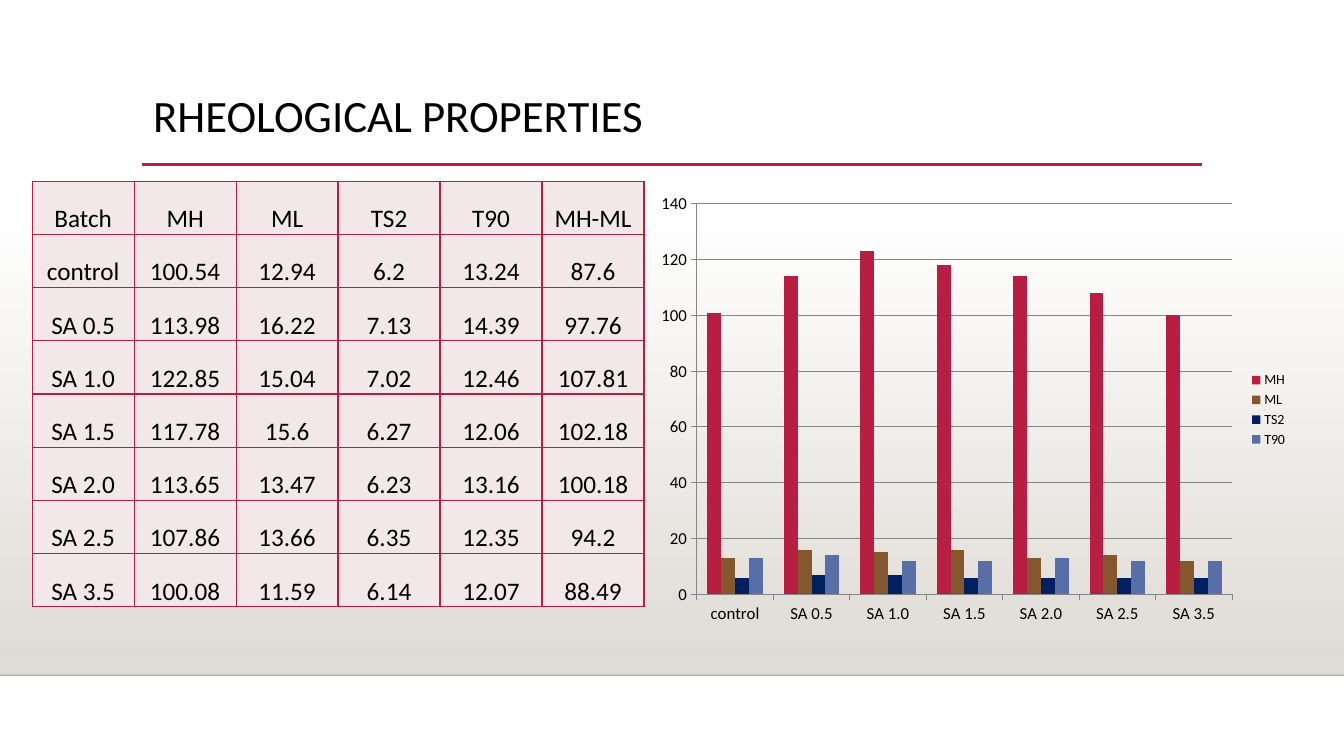
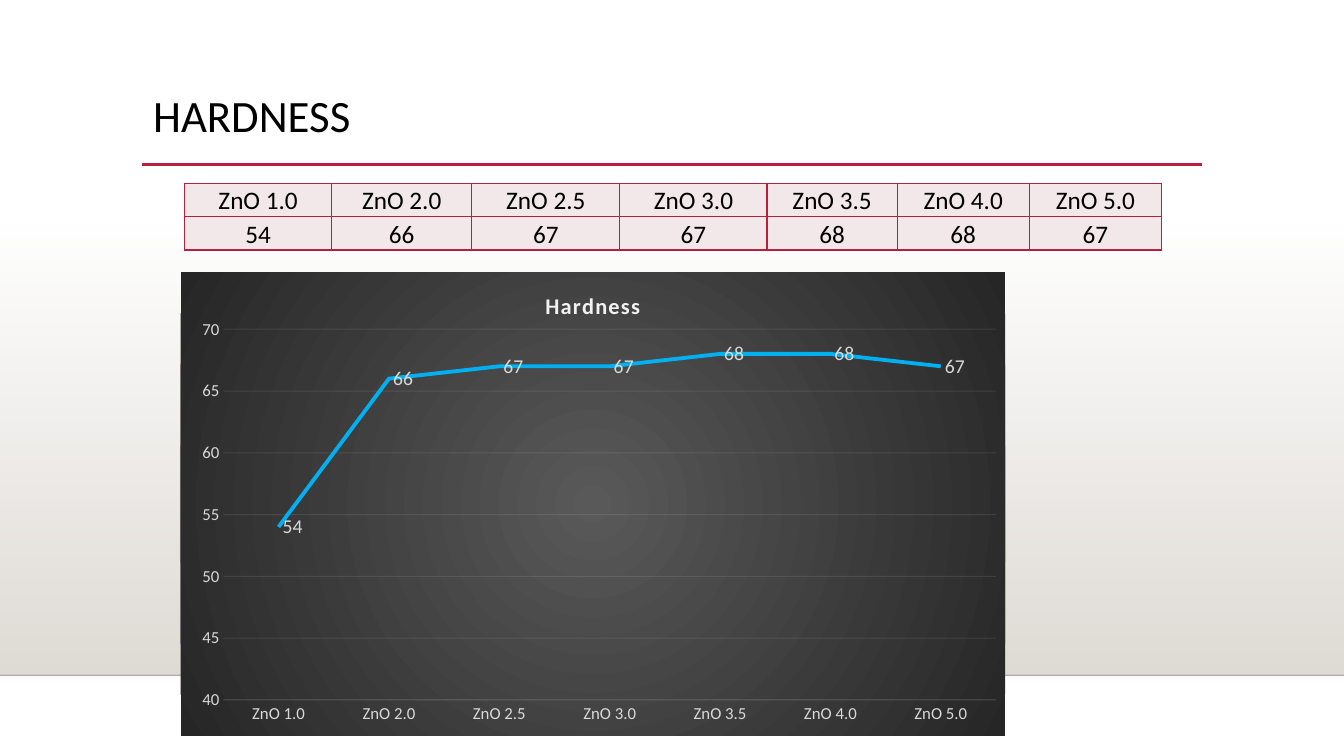
"""Build two slides on rubber test results, each with a table and a chart."""
from lxml import etree
from pptx import Presentation
from pptx import util as u
from pptx.chart import data as chart_data
from pptx.dml.color import RGBColor
from pptx.enum import chart as ch
from pptx.enum import shapes, text
from pptx.oxml import parse_xml
from pptx.oxml.ns import nsdecls, qn

COLORS = {
    "ink": "000000", "accent": "B71E42", "cell": "F3E8E9", "floor": "DFDBD5",
    "brown": "84582C", "navy": "002060", "slate": "586EA6", "axis": "868686",
    "panel_in": "595959", "panel_out": "262626", "pale": "F2F2F2",
    "label": "D9D9D9", "sky": "00B0F0",
}
FONT = "Calibri"
SLIDE_W, SLIDE_H = 33.87, 19.05
FLOOR_Y = 17.02

RHEOLOGY = [
    ["Batch", "MH", "ML", "TS2", "T90", "MH-ML"],
    ["control", "100.54", "12.94", "6.2", "13.24", "87.6"],
    ["SA 0.5", "113.98", "16.22", "7.13", "14.39", "97.76"],
    ["SA 1.0", "122.85", "15.04", "7.02", "12.46", "107.81"],
    ["SA 1.5", "117.78", "15.6", "6.27", "12.06", "102.18"],
    ["SA 2.0", "113.65", "13.47", "6.23", "13.16", "100.18"],
    ["SA 2.5", "107.86", "13.66", "6.35", "12.35", "94.2"],
    ["SA 3.5", "100.08", "11.59", "6.14", "12.07", "88.49"],
]
HARDNESS = [
    ["ZnO 1.0", "ZnO 2.0", "ZnO 2.5", "ZnO 3.0", "ZnO 3.5", "ZnO 4.0", "ZnO 5.0"],
    ["54", "66", "67", "67", "68", "68", "67"],
]


def rgb(name):
    return RGBColor.from_string(COLORS[name])


def fade(element, query, percent):
    for color in element.xpath(query):
        etree.SubElement(color, qn("a:alpha")).set("val", str(percent * 1000))


def gradient(stops, direction):
    marks = "".join(
        f'<a:gs pos="{pos * 1000}"><a:srgbClr val="{COLORS[name]}">'
        f'<a:alpha val="{alpha * 1000}"/></a:srgbClr></a:gs>'
        for pos, name, alpha in stops)
    return f'<a:gradFill {nsdecls("a")}><a:gsLst>{marks}</a:gsLst>{direction}</a:gradFill>'


class Deck:
    def __init__(self):
        self.prs = Presentation()
        self.prs.slide_width, self.prs.slide_height = u.Cm(SLIDE_W), u.Cm(SLIDE_H)
        self.slide = None

    def style(self, font, size, color="ink", bold=False):
        font.name, font.size, font.bold = FONT, u.Pt(size), bold
        font.color.rgb = rgb(color)

    def add_slide(self, heading):
        self.slide = self.prs.slides.add_slide(self.prs.slide_layouts[6])
        self.backdrop(5.61)
        fade(self.rule(0, SLIDE_W, FLOOR_Y, "ink", 1).element, ".//a:ln//a:srgbClr", 20)
        self.rule(3.58, 30.28, 4.14, "accent", 2.5)
        self.title(heading)

    def backdrop(self, top):
        floor = self.slide.shapes.add_shape(
            shapes.MSO_SHAPE.RECTANGLE, 0, u.Cm(top), u.Cm(SLIDE_W), u.Cm(FLOOR_Y - top))
        floor.shadow.inherit = False
        floor.line.fill.background()
        fill = gradient([(0, "floor", 0), (100, "floor", 100)], '<a:lin ang="5400000" scaled="0"/>')
        floor.element.spPr.insert(2, parse_xml(fill))

    def rule(self, left, right, y, color, width):
        line = self.slide.shapes.add_connector(
            shapes.MSO_CONNECTOR.STRAIGHT, u.Cm(left), u.Cm(y), u.Cm(right), u.Cm(y))
        line.line.color.rgb = rgb(color)
        line.line.width = u.Pt(width)
        etree.SubElement(line.element.spPr, qn("a:effectLst"))
        return line

    def title(self, heading):
        frame = self.slide.shapes.add_textbox(
            u.Cm(3.61), u.Cm(2.24), u.Cm(26.67), u.Cm(2.92)).text_frame
        frame.word_wrap = True
        frame.vertical_anchor = text.MSO_ANCHOR.TOP
        paragraph = frame.paragraphs[0]
        paragraph.line_spacing = 0.9
        run = paragraph.add_run()
        run.text = heading
        self.style(run.font, 32)

    def table(self, left, top, widths, row_height, rows):
        grid = self.slide.shapes.add_table(
            len(rows), len(widths), u.Cm(left), u.Cm(top),
            u.Cm(sum(widths)), u.Cm(row_height * len(rows))).table
        grid.first_row = grid.horz_banding = False
        for column, width in zip(grid.columns, widths):
            column.width = u.Cm(width)
        for row, values in zip(grid.rows, rows):
            row.height = u.Cm(row_height)
            for cell, value in zip(row.cells, values):
                self.cell(cell, value)

    def cell(self, cell, value):
        cell.fill.solid()
        cell.fill.fore_color.rgb = rgb("cell")
        cell.vertical_anchor = text.MSO_ANCHOR.BOTTOM
        cell.margin_left = cell.margin_right = cell.margin_top = u.Cm(0.03)
        cell.margin_bottom = 0
        paragraph = cell.text_frame.paragraphs[0]
        paragraph.alignment = text.PP_ALIGN.CENTER
        run = paragraph.add_run()
        run.text = value
        self.style(run.font, 18)
        properties = cell.fill._xPr
        for index, side in enumerate("LRTB"):
            properties.insert(index, parse_xml(
                f'<a:ln{side} {nsdecls("a")} w="12700"><a:solidFill>'
                f'<a:srgbClr val="{COLORS["accent"]}"/></a:solidFill></a:ln{side}>'))

    def chart(self, kind, box, categories, series, plot):
        data = chart_data.CategoryChartData()
        data.categories = categories
        for name, values in series:
            data.add_series(name, values)
        chart = self.slide.shapes.add_chart(kind, *map(u.Cm, box), data).chart
        self.style(chart.font, 10)
        chart.has_title = chart.has_legend = False
        chart.plots[0].vary_by_categories = False
        area = chart.element.xpath(".//c:plotArea")[0]
        for layout in area.findall(qn("c:layout")):
            area.remove(layout)
        sizes = "".join(f'<c:{key} val="{val}"/>' for key, val in zip("xywh", plot))
        area.insert(0, parse_xml(
            f'<c:layout {nsdecls("c")}><c:manualLayout><c:layoutTarget val="inner"/>'
            f'<c:xMode val="edge"/><c:yMode val="edge"/>{sizes}</c:manualLayout></c:layout>'))
        return chart

    def axes(self, chart, low, high, step, tick, label, line):
        for axis in (chart.category_axis, chart.value_axis):
            axis.major_tick_mark, axis.minor_tick_mark = tick, ch.XL_TICK_MARK.NONE
            self.style(axis.tick_labels.font, 12, label)
            axis.format.line.color.rgb = rgb(line)
            axis.format.line.width = u.Pt(0.75)
        scale = chart.value_axis
        scale.minimum_scale, scale.maximum_scale, scale.major_unit = low, high, step
        scale.has_major_gridlines = True
        scale.major_gridlines.format.line.color.rgb = rgb(line)
        scale.major_gridlines.format.line.width = u.Pt(0.75)

    def column_chart(self, box, categories, series, colors, plot):
        chart = self.chart(ch.XL_CHART_TYPE.COLUMN_CLUSTERED, box, categories, series, plot)
        self.axes(chart, 0, 140, 20, ch.XL_TICK_MARK.OUTSIDE, "ink", "axis")
        chart.plots[0].gap_width = 150
        for bars, color in zip(chart.plots[0].series, colors):
            bars.format.fill.solid()
            bars.format.fill.fore_color.rgb = rgb(color)
        chart.has_legend = True
        chart.legend.position = ch.XL_LEGEND_POSITION.RIGHT
        chart.legend.include_in_layout = False
        self.style(chart.legend.font, 10)

    def line_chart(self, box, heading, categories, series, plot):
        chart = self.chart(ch.XL_CHART_TYPE.LINE, box, categories, series, plot)
        self.axes(chart, 40, 70, 5, ch.XL_TICK_MARK.NONE, "label", "pale")
        chart.value_axis.format.line.fill.background()
        fade(chart.element, ".//c:catAx/c:spPr//a:srgbClr | .//c:majorGridlines//a:srgbClr", 10)
        chart.has_title = True
        run = chart.chart_title.text_frame.paragraphs[0].add_run()
        run.text = heading
        self.style(run.font, 16, "pale", True)
        chart.element.xpath(".//c:title//a:r/a:rPr")[0].set("spc", "100")
        trend = chart.plots[0].series[0]
        trend.smooth = False
        trend.marker.style = ch.XL_MARKER_STYLE.NONE
        trend.format.line.color.rgb = rgb("sky")
        trend.format.line.width = u.Pt(2.75)
        labels = trend.data_labels
        labels.show_value = True
        labels.position = ch.XL_LABEL_POSITION.RIGHT
        self.style(labels.font, 14, "label")
        fill = gradient(
            [(0, "panel_in", 100), (100, "panel_out", 100)],
            '<a:path path="circle"><a:fillToRect l="50000" t="50000" r="50000" b="50000"/></a:path>')
        chart.element.xpath("./c:chart")[0].addnext(parse_xml(
            f'<c:spPr {nsdecls("c", "a")}>{fill}<a:ln><a:noFill/></a:ln></c:spPr>'))


def main():
    deck = Deck()

    deck.add_slide("RHEOLOGICAL PROPERTIES")
    batches, *measures = zip(*RHEOLOGY)
    series = [(name, [round(float(value)) for value in values])
              for name, *values in measures[:4]]
    deck.column_chart((16.1, 4.42, 16.61, 11.81), batches[1:], series,
                      ["accent", "brown", "navy", "slate"], (0.088, 0.061, 0.812, 0.833))
    deck.table(0.81, 4.57, [2.57] * 6, 1.34, RHEOLOGY)

    deck.add_slide("HARDNESS")
    grades, readings = HARDNESS
    deck.line_chart((4.55, 6.86, 20.78, 11.68), "Hardness", grades,
                    [("Series 1", [int(value) for value in readings])],
                    (0.052, 0.123, 0.937, 0.8))
    deck.table(4.65, 4.62, [3.71, 3.53, 3.73, 3.71, 3.28, 3.33, 3.33], 0.84, HARDNESS)

    deck.prs.save("out.pptx")


if __name__ == "__main__":
    main()
